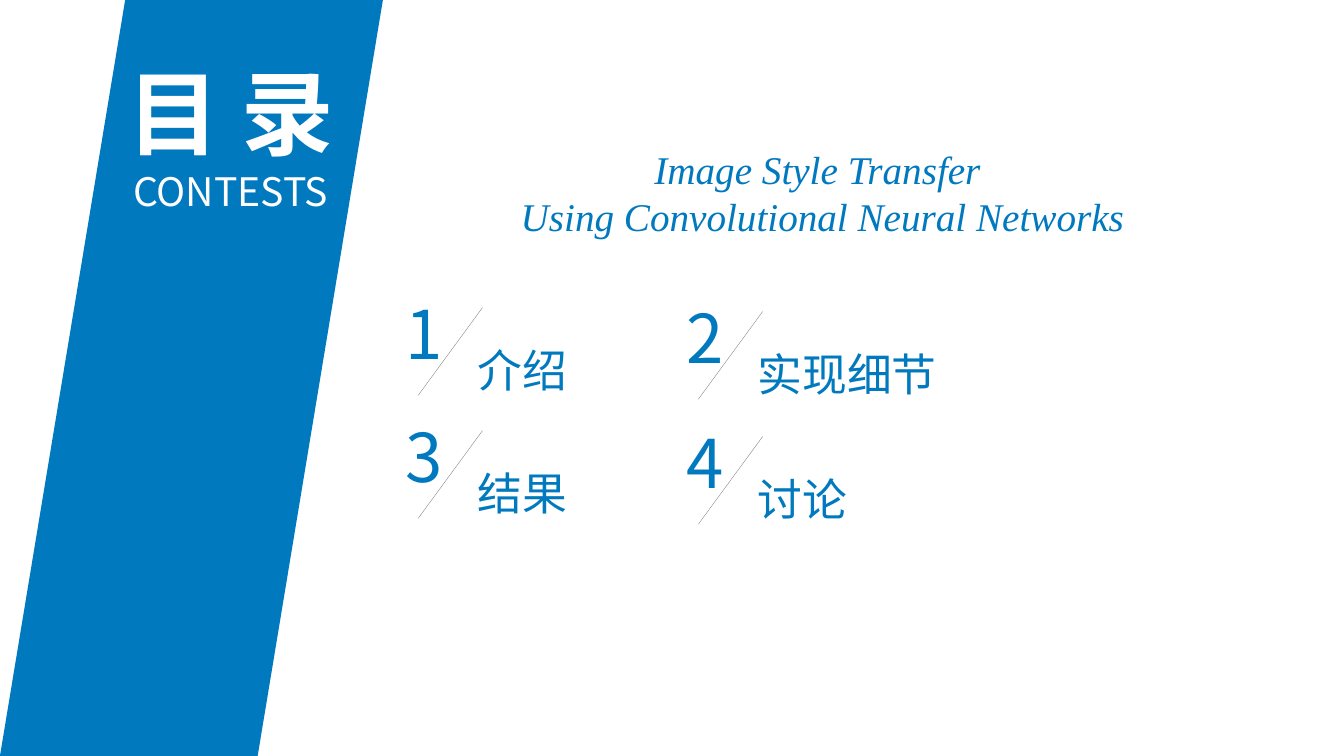
from lxml import etree
from pptx import Presentation
from pptx.dml.color import RGBColor
from pptx.enum.shapes import MSO_CONNECTOR, MSO_SHAPE
from pptx.enum.text import MSO_ANCHOR, MSO_AUTO_SIZE, PP_ALIGN
from pptx.oxml.ns import qn
from pptx.util import Cm, Pt

BLUE = RGBColor(0x00, 0x79, 0xBF)
WHITE = RGBColor(0xFF, 0xFF, 0xFF)
GRAY = RGBColor(0x80, 0x80, 0x80)
SANS = "Noto Sans CJK SC"
SERIF = "Times New Roman"
LEFT, CENTER = PP_ALIGN.LEFT, PP_ALIGN.CENTER
MIDDLE = MSO_ANCHOR.MIDDLE
NO_FIT, GROW = MSO_AUTO_SIZE.NONE, MSO_AUTO_SIZE.SHAPE_TO_FIT_TEXT
PARALLELOGRAM = MSO_SHAPE.PARALLELOGRAM
STRAIGHT = MSO_CONNECTOR.STRAIGHT
TITLE_ONLY = 5

# Number, label, left and top in centimetres
ENTRIES = [
    ("1", "介绍", 9.98, 7.24),
    ("2", "实现细节", 17.04, 7.34),
    ("3", "结果", 9.98, 10.34),
    ("4", "讨论", 17.04, 10.49),
]


def format_para(para, size, color, font=SANS, align=LEFT, bold=False, italic=False):
    para.alignment = align
    para.font.size = Pt(size)
    para.font.bold = bold
    para.font.italic = italic
    para.font.color.rgb = color
    para.font.name = font
    # East Asian characters need their own font entry
    defaults = para._p.pPr.find(qn("a:defRPr"))
    etree.SubElement(defaults, qn("a:ea")).set("typeface", font)


def add_text(shapes, text, left, top, width, height, wrap=True):
    box = shapes.add_textbox(Cm(left), Cm(top), Cm(width), Cm(height))
    box.text_frame.word_wrap = wrap
    box.text_frame.auto_size = GROW
    box.text_frame.text = text
    return box.text_frame.paragraphs


def add_band(page, height):
    band = page.shapes.add_shape(PARALLELOGRAM, 0, 0, Cm(9.65), height)
    band.adjustments[0] = 0.327
    band.shadow.inherit = False
    band.fill.solid()
    band.fill.fore_color.rgb = BLUE
    band.line.fill.background()
    # Keep the band behind the title
    page.shapes.title._element.addprevious(band._element)


def fill_title(title):
    title.left, title.top = Cm(2.49), Cm(1.6)
    title.width, title.height = Cm(6.65), Cm(3.63)
    frame = title.text_frame
    frame.text = "目 录\nCONTESTS"
    frame.word_wrap = True
    frame.auto_size = NO_FIT
    frame.vertical_anchor = MIDDLE
    chinese, english = frame.paragraphs
    format_para(chinese, 66, WHITE, align=CENTER, bold=True)
    format_para(english, 28, WHITE, align=CENTER)


def add_slash(shapes, left, top):
    slash = shapes.add_connector(
        STRAIGHT, Cm(left + 2.18), Cm(top + 0.51), Cm(left + 0.56), Cm(top + 2.72))
    slash.line.color.rgb = GRAY
    slash.line.width = Pt(0.25)
    etree.SubElement(slash._element.spPr, qn("a:effectLst"))


def add_entry(page, number, label, left, top):
    shapes = page.shapes.add_group_shape().shapes
    format_para(add_text(shapes, number, left, top, 1.52, 2.31, wrap=False)[0], 48, BLUE)
    add_slash(shapes, left, top)
    format_para(add_text(shapes, label, left + 1.8, top + 1.27, 11.79, 1.63)[0], 32, BLUE)


def main():
    deck = Presentation()
    deck.slide_width, deck.slide_height = Cm(33.87), Cm(19.05)
    page = deck.slides.add_slide(deck.slide_layouts[TITLE_ONLY])

    # Side band with the title
    add_band(page, deck.slide_height)
    fill_title(page.shapes.title)

    # Contents
    for entry in ENTRIES:
        add_entry(page, *entry)

    # Paper name
    paper = "Image Style Transfer \nUsing Convolutional Neural Networks"
    for para in add_text(page.shapes, paper, 9.98, 3.53, 21.49, 2.64):
        format_para(para, 28, BLUE, SERIF, CENTER, italic=True)

    deck.save("out.pptx")


if __name__ == "__main__":
    main()
